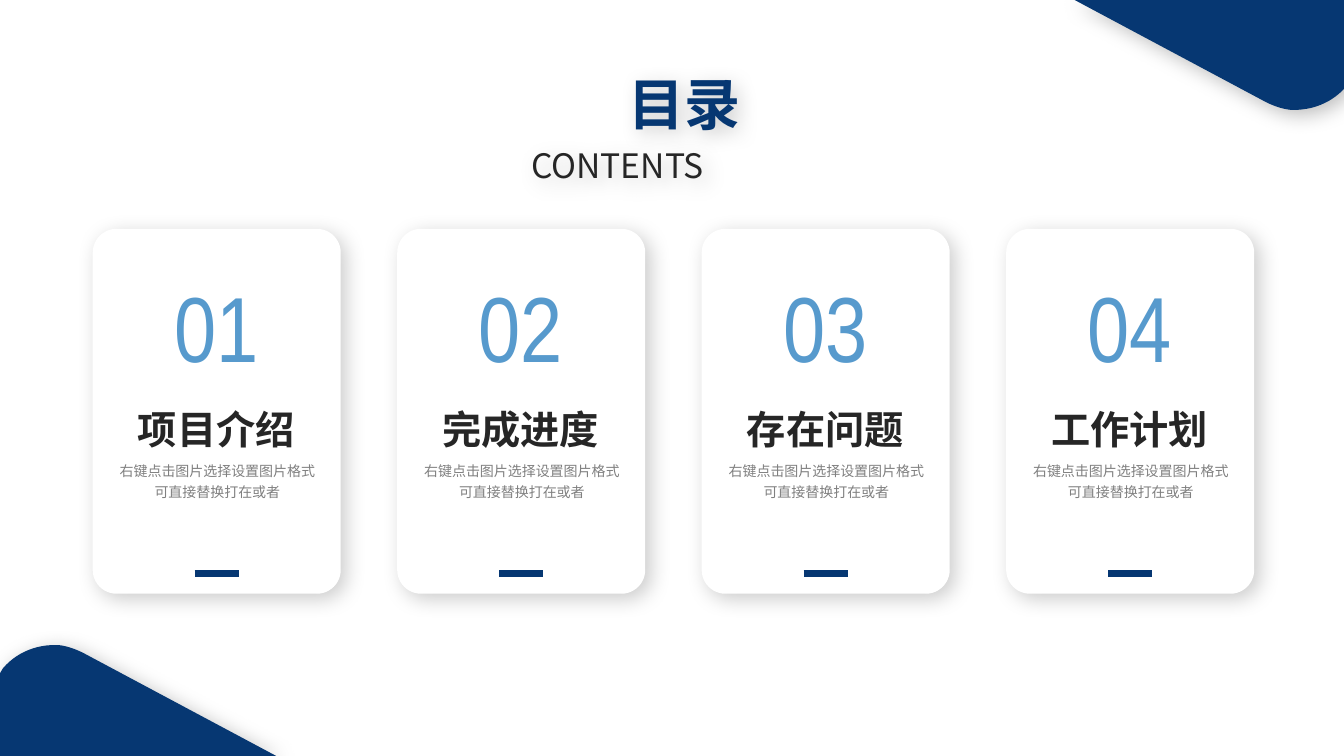
from lxml.etree import SubElement
from pptx import Presentation
from pptx.dml.color import RGBColor
from pptx.enum.shapes import MSO_CONNECTOR, MSO_SHAPE
from pptx.enum.text import MSO_ANCHOR, MSO_AUTO_SIZE, PP_ALIGN
from pptx.oxml.ns import qn
from pptx.util import Pt

PX = 9144  # EMU per px, 100 px to the inch
SLIDE_W, SLIDE_H = 1333, 750

NAVY = RGBColor(0x06, 0x37, 0x72)
BLUE = RGBColor(0x57, 0x9A, 0xCD)
INK = RGBColor(0x26, 0x26, 0x26)
GRAY = RGBColor(0x80, 0x80, 0x80)
WHITE = RGBColor(0xFF, 0xFF, 0xFF)

CJK = "Noto Sans CJK SC"
NARROW = "Arial Narrow"

CARD_LEFT, CARD_TOP, CARD_W, CARD_H, CARD_PITCH = 92, 227, 246, 362, 302
HEADINGS = ["项目介绍", "完成进度", "存在问题", "工作计划"]
DETAIL = "右键点击图片选择设置图片格式可直接替换打在或者"

# Corner outline: two points make a line, six numbers a Bezier curve
CORNER_START = (51, 640)
CORNER_STEPS = [
    (53, 640, 56, 640, 58, 640),
    (67, 641, 75, 644, 83, 648),
    (274, 750), (0, 750), (0, 668), (3, 663),
    (15, 649, 32, 641, 51, 640),
]


def px(*values):
    return [round(v * PX) for v in values]


def add_shadow(shape, opacity):
    """Soft shadow to the lower right."""
    shape.shadow.inherit = False
    effects = shape._element.spPr.find(qn("a:effectLst"))
    outer = SubElement(effects, qn("a:outerShdw"), blurRad=str(Pt(15)), dist=str(Pt(5)),
                       dir=str(45 * 60000), algn="tl", rotWithShape="0")
    color = SubElement(outer, qn("a:srgbClr"), val="000000")
    SubElement(color, qn("a:alpha"), val=str(opacity * 1000))


def fill_text(shape, text, size, color, font=CJK, bold=False,
              align=PP_ALIGN.CENTER, spacing=None, wrap=True):
    tf = shape.text_frame
    tf.word_wrap = wrap
    tf.auto_size = MSO_AUTO_SIZE.SHAPE_TO_FIT_TEXT
    tf.vertical_anchor = MSO_ANCHOR.TOP
    p = tf.paragraphs[0]
    p.text = text
    p.alignment = align
    if spacing:
        p.line_spacing = spacing
    p.font.size = Pt(size)
    p.font.bold = bold
    p.font.color.rgb = color
    p.font.name = font
    SubElement(p._p.pPr.find(qn("a:defRPr")), qn("a:ea"), typeface=font)


def add_text(shapes, box, text, size, color, **style):
    tb = shapes.add_textbox(*px(*box))
    fill_text(tb, text, size, color, **style)
    return tb


def add_bar(shapes, x1, x2, y):
    bar = shapes.add_connector(MSO_CONNECTOR.STRAIGHT, *px(x1, y, x2, y))
    bar.line.color.rgb = NAVY
    bar.line.width = Pt(4.5)
    SubElement(bar._element.spPr, qn("a:effectLst"))


def bezier(start, c, n=12):
    """Points along a cubic curve, without its start."""
    points = []
    for i in range(1, n + 1):
        t = i / n
        u = 1 - t
        points.append(tuple(
            u**3 * start[k] + 3 * u * u * t * c[k] + 3 * u * t * t * c[k + 2] + t**3 * c[k + 4]
            for k in (0, 1)))
    return points


def corner_points():
    points = [CORNER_START]
    for step in CORNER_STEPS:
        points += [step] if len(step) == 2 else bezier(points[-1], step)
    return points


def add_corner(shapes, points):
    points = [px(*point) for point in points]
    builder = shapes.build_freeform(*points[0], scale=1.0)
    builder.add_line_segments(points[1:], close=True)
    corner = builder.convert_to_shape()
    corner.fill.solid()
    corner.fill.fore_color.rgb = NAVY
    corner.line.fill.background()
    add_shadow(corner, 25)


def add_card(s, index, heading):
    left = CARD_LEFT + index * CARD_PITCH
    shapes = s.shapes.add_group_shape().shapes
    card = shapes.add_shape(MSO_SHAPE.ROUNDED_RECTANGLE, *px(left, CARD_TOP, CARD_W, CARD_H))
    card.adjustments[0] = 0.096
    card.fill.solid()
    card.fill.fore_color.rgb = WHITE
    card.line.fill.background()
    add_shadow(card, 20)
    add_text(shapes, (left + 34, 383, 177, 65), heading, 28, INK,
             bold=True, spacing=1.3, wrap=False)
    add_text(shapes, (left + 13, 451, 221, 50), DETAIL, 10, GRAY, spacing=1.2)
    add_text(shapes, (left + 18, 263, 209, 121), f"{index + 1:02d}", 66, BLUE, font=NARROW)
    add_bar(shapes, left + 101, left + 145, 569)


def add_title(s, box, text):
    title = s.shapes.title
    title.left, title.top, title.width, title.height = px(*box)
    fill_text(title, text, 40, NAVY, bold=True)
    add_shadow(title, 20)


def main():
    prs = Presentation()
    prs.slide_width, prs.slide_height = px(SLIDE_W, SLIDE_H)
    s = prs.slides.add_slide(prs.slide_layouts[5])

    # Corners: the upper one is the lower one turned by half
    lower = corner_points()
    add_corner(s.shapes, lower)
    add_corner(s.shapes, [(1338 - x, 749 - y) for x, y in lower])

    # Title and subtitle
    add_title(s, (514, 64, 329, 77), "目录")
    subtitle = add_text(s.shapes, (517, 139, 329, 50), "CONTENTS", 24, INK,
                        align=PP_ALIGN.JUSTIFY)
    add_shadow(subtitle, 20)

    # Cards
    for index, heading in enumerate(HEADINGS):
        add_card(s, index, heading)

    prs.save("out.pptx")


if __name__ == "__main__":
    main()
